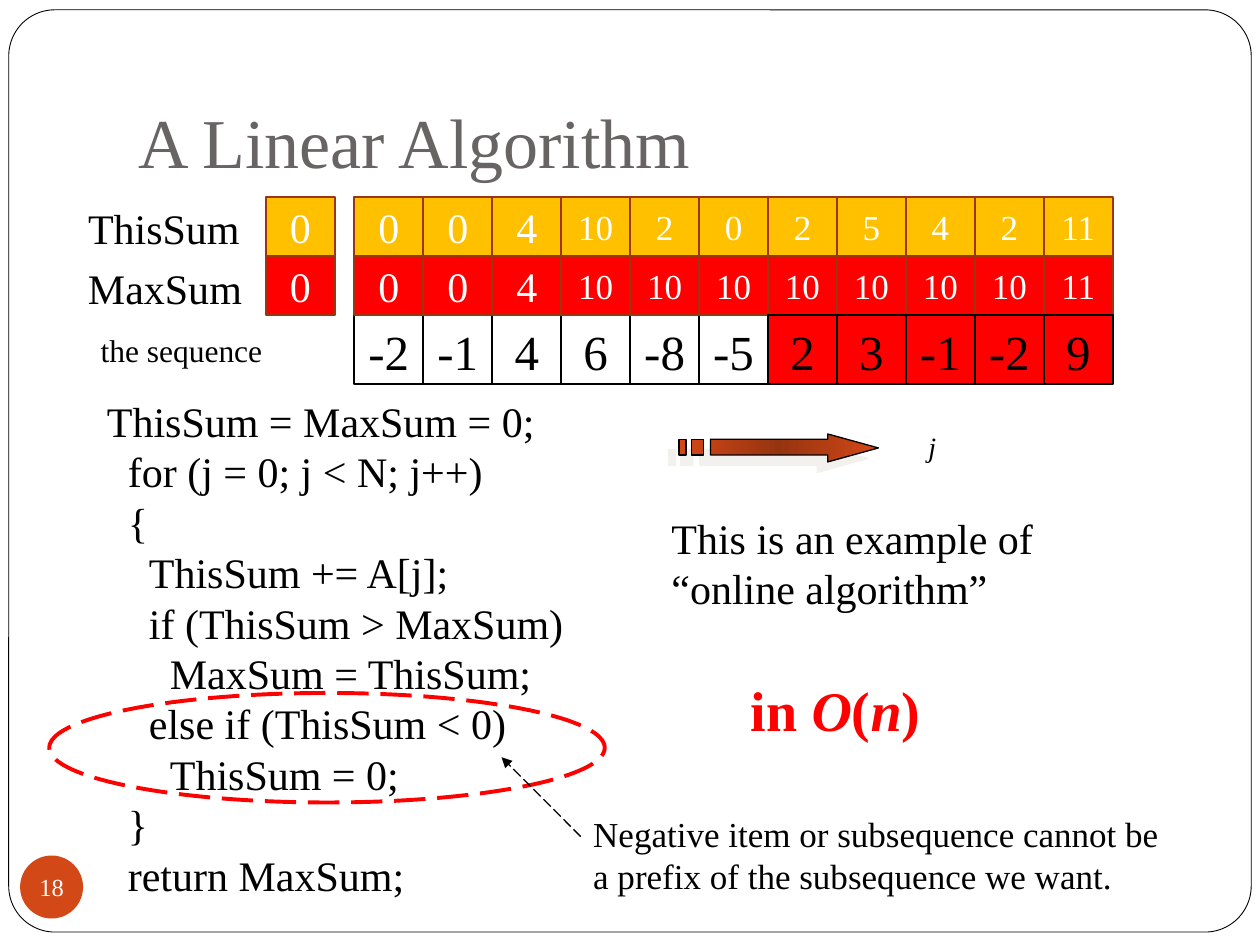
"""Build the slide that traces the linear maximum subsequence algorithm."""
from dataclasses import dataclass

from lxml.etree import SubElement
from pptx import Presentation
from pptx.dml.color import RGBColor
from pptx.enum.dml import MSO_LINE
from pptx.enum.shapes import MSO_CONNECTOR, MSO_SHAPE
from pptx.enum.text import MSO_ANCHOR, MSO_AUTO_SIZE, PP_ALIGN
from pptx.oxml.ns import qn
from pptx.util import Pt


@dataclass(frozen=True)
class Theme:
    font: str = "Times New Roman"
    black: str = "000000"
    white: str = "FFFFFF"
    red: str = "FF0000"
    gold: str = "FFC000"
    brown: str = "9C3511"
    orange: str = "D34817"
    dark_orange: str = "973410"
    title_grey: str = "696464"
    shadow: str = "E9E5DC"
    title: int = 40
    formula: int = 32
    sequence: int = 28
    body: int = 24
    note: int = 20
    caption: int = 18
    index: int = 16
    page: int = 14
    line_height: float = 1.2


@dataclass(frozen=True)
class Box:
    left: float
    top: float
    width: float
    height: float

    def lengths(self) -> tuple:
        return Pt(self.left), Pt(self.top), Pt(self.width), Pt(self.height)


@dataclass(frozen=True)
class Label:
    text: str
    box: Box
    size: int
    italic: bool = False


@dataclass(frozen=True)
class CellStyle:
    top: float
    height: float
    fill: str
    line: str
    color: str
    anchor: MSO_ANCHOR


THEME = Theme()
COLUMN_LEFT, COLUMN_WIDTH, START_LEFT = 202.5, 39.4, 151.9
ROW_TOP, ROW_HEIGHT = 112.4, 33.8
SEQUENCE_TOP = ROW_TOP + 2 * ROW_HEIGHT
INDENT = 12

THIS_SUM = CellStyle(ROW_TOP, ROW_HEIGHT, THEME.gold, THEME.brown, THEME.white, MSO_ANCHOR.MIDDLE)
MAX_SUM = CellStyle(ROW_TOP + ROW_HEIGHT, ROW_HEIGHT, THEME.red, THEME.brown, THEME.white,
                    MSO_ANCHOR.MIDDLE)
ITEM = CellStyle(SEQUENCE_TOP, COLUMN_WIDTH, THEME.white, THEME.black, THEME.black, MSO_ANCHOR.TOP)
BEST_ITEM = CellStyle(SEQUENCE_TOP, COLUMN_WIDTH, THEME.red, THEME.black, THEME.black,
                      MSO_ANCHOR.TOP)

SEQUENCE = [-2, -1, 4, 6, -8, -5, 2, 3, -1, -2, 9]
BEST_START = 6
SUM_ROWS = [
    (THIS_SUM, [0, 0, 4, 10, 2, 0, 2, 5, 4, 2, 11]),
    (MAX_SUM, [0, 0, 4, 10, 10, 10, 10, 10, 10, 10, 11]),
]
LARGE_SUMS = 3

CODE = [
    (0, "ThisSum = MaxSum = 0;"),
    (1, "for (j = 0; j < N; j++)"),
    (1, "{"),
    (2, "ThisSum += A[j];"),
    (2, "if (ThisSum > MaxSum)"),
    (3, "MaxSum = ThisSum;"),
    (2, "else if (ThisSum < 0)"),
    (3, "ThisSum = 0;"),
    (1, "}"),
    (1, "return MaxSum;"),
]

LABELS = [
    Label("ThisSum", Box(43.2, 112.4, 102.2, 36.7), THEME.body),
    Label("MaxSum", Box(43.2, 146.2, 103.7, 36.7), THEME.body),
    Label("the sequence", Box(50.4, 185.8, 123.8, 28.8), THEME.caption),
    Label("j", Box(523.4, 241.9, 51.1, 26.6), THEME.index, italic=True),
    Label("This is an example of “online algorithm”", Box(376.6, 289.4, 238.3, 64.8), THEME.body),
    Label("Negative item or subsequence cannot be a prefix of the subsequence we want.",
          Box(331.9, 460.8, 340.6, 55.4), THEME.note),
]


def rgb(color: str) -> RGBColor:
    return RGBColor.from_string(color)


def format_text(frame, size: int, color: str, align=PP_ALIGN.LEFT, **flags: bool) -> None:
    for paragraph in frame.paragraphs:
        paragraph.alignment = align
        paragraph.line_spacing = Pt(size * THEME.line_height)
        for run in paragraph.runs:
            font = run.font
            font.name, font.size, font.color.rgb = THEME.font, Pt(size), rgb(color)
            for name, value in flags.items():
                setattr(font, name, value)


def add_text(slide, box: Box, text: str):
    frame = slide.shapes.add_textbox(*box.lengths()).text_frame
    frame.word_wrap = True
    frame.text = text
    return frame


def add_label(slide, label: Label) -> None:
    frame = add_text(slide, label.box, label.text)
    format_text(frame, label.size, THEME.black, italic=label.italic)


def add_figure(slide, kind: MSO_SHAPE, box: Box, fill: str = "", line: str = "", weight: float = 1):
    shape = slide.shapes.add_shape(kind, *box.lengths())
    shape.shadow.inherit = False
    if fill:
        shape.fill.solid()
        shape.fill.fore_color.rgb = rgb(fill)
    else:
        shape.fill.background()
    if line:
        shape.line.color.rgb = rgb(line)
        shape.line.width = Pt(weight)
    else:
        shape.line.fill.background()
    return shape


def add_cell(slide, style: CellStyle, left: float, value: int, size: int) -> None:
    box = Box(left, style.top, COLUMN_WIDTH, style.height)
    frame = add_figure(slide, MSO_SHAPE.RECTANGLE, box, style.fill, style.line).text_frame
    frame.word_wrap = False
    frame.vertical_anchor = style.anchor
    frame.text = str(value)
    format_text(frame, size, style.color, PP_ALIGN.CENTER)


def add_trace(slide) -> None:
    lefts = [COLUMN_LEFT + column * COLUMN_WIDTH for column in range(len(SEQUENCE))]
    items = list(zip(lefts, SEQUENCE))
    for left, value in items[:BEST_START]:
        add_cell(slide, ITEM, left, value, THEME.sequence)
    for style, sums in SUM_ROWS:
        add_cell(slide, style, START_LEFT, 0, THEME.body)
        for column, (left, value) in enumerate(zip(lefts, sums)):
            add_cell(slide, style, left, value, THEME.body if column < LARGE_SUMS else THEME.note)
    for left, value in items[BEST_START:]:
        add_cell(slide, BEST_ITEM, left, value, THEME.sequence)


def add_color(parent, color: str):
    return SubElement(parent, qn("a:srgbClr"), val=color)


def add_scan_arrow(slide) -> None:
    top, bottom = 251.3, 260
    builder = slide.shapes.build_freeform(473, 247.7, scale=Pt(1))
    builder.add_line_segments([(473, top), (406.1, top), (406.1, bottom), (473, bottom),
                               (473, 264.2), (501.8, 255.6)])
    for left, right in [(395.3, 402.5), (388.1, 391.7)]:
        builder.move_to(left, top)
        builder.add_line_segments([(left, bottom), (right, bottom), (right, top)])
    arrow = builder.convert_to_shape()
    arrow.line.color.rgb = rgb(THEME.black)
    arrow.line.width = Pt(0.75)
    arrow.fill.gradient()
    arrow.fill.gradient_angle = 0
    stops = arrow.element.spPr.find(".//" + qn("a:gsLst"))
    stops.clear()
    for percent, color in [(0, THEME.orange), (50, THEME.dark_orange), (100, THEME.orange)]:
        add_color(SubElement(stops, qn("a:gs"), pos=str(percent * 1000)), color)
    effects = SubElement(arrow.element.spPr, qn("a:effectLst"))
    shadow = SubElement(effects, qn("a:outerShdw"), dist=str(Pt(8.5)), dir=str(135 * 60000),
                        algn="ctr", rotWithShape="0")
    SubElement(add_color(shadow, THEME.shadow), qn("a:alpha"), val="50000")


def add_code(slide) -> None:
    frame = add_text(slide, Box(54, 222.5, 368.6, 294.5), "\n".join(text for _, text in CODE))
    format_text(frame, THEME.body, THEME.black)
    for paragraph, (level, _) in zip(frame.paragraphs, CODE):
        paragraph._p.get_or_add_pPr().set("marL", str(Pt(level * INDENT)))
    ellipse = add_figure(slide, MSO_SHAPE.OVAL, Box(28.1, 396, 317.5, 62.6), line=THEME.red,
                         weight=2.25)
    ellipse.line.dash_style = MSO_LINE.LONG_DASH


def add_pointer(slide) -> None:
    pointer = slide.shapes.add_connector(MSO_CONNECTOR.STRAIGHT, Pt(331.9), Pt(478.1), Pt(286.6),
                                         Pt(432.7))
    pointer.line.color.rgb = rgb(THEME.black)
    pointer.line.width = Pt(0.75)
    pointer.line.dash_style = MSO_LINE.LONG_DASH
    SubElement(pointer.line._get_or_add_ln(), qn("a:tailEnd"), type="triangle")
    SubElement(pointer.element.spPr, qn("a:effectLst"))


def add_formula(slide) -> None:
    frame = add_text(slide, Box(421.9, 382.3, 164.2, 45.4), "")
    for text in ["in ", "O", "(", "n", ")"]:
        run = frame.paragraphs[0].add_run()
        run.text = text
        run.font.italic = text in ("O", "n")
    format_text(frame, THEME.formula, THEME.red, bold=True)


def add_title(slide) -> None:
    title = slide.shapes.title
    title.left, title.top, title.width, title.height = Box(72, 21.6, 612, 90).lengths()
    frame = title.text_frame
    frame.text = "A Linear Algorithm"
    frame.auto_size = MSO_AUTO_SIZE.NONE
    frame.vertical_anchor = MSO_ANCHOR.BOTTOM
    frame.margin_bottom = Pt(7.2)
    format_text(frame, THEME.title, THEME.title_grey)
    frame.paragraphs[0].line_spacing = 1.0


def add_frame(slide) -> None:
    border = add_figure(slide, MSO_SHAPE.ROUNDED_RECTANGLE, Box(5, 5.6, 710, 527), THEME.white,
                        THEME.black, 0.5)
    border.adjustments[0] = 0.05
    slide.shapes.element.insert(2, border.element)


def add_page_number(slide) -> None:
    badge = add_figure(slide, MSO_SHAPE.OVAL, Box(11.5, 488.9, 36, 36), THEME.orange)
    frame = badge.text_frame
    frame.margin_left = frame.margin_right = frame.margin_top = frame.margin_bottom = 0
    frame.word_wrap = False
    frame.vertical_anchor = MSO_ANCHOR.MIDDLE
    frame.text = "18"
    format_text(frame, THEME.page, THEME.white, PP_ALIGN.CENTER)


def main() -> None:
    presentation = Presentation()
    presentation.slide_width, presentation.slide_height = Pt(720), Pt(540)
    slide = presentation.slides.add_slide(presentation.slide_layouts[5])
    add_frame(slide)
    add_title(slide)
    add_code(slide)
    add_scan_arrow(slide)
    for label in LABELS:
        add_label(slide, label)
    add_pointer(slide)
    add_formula(slide)
    add_trace(slide)
    add_page_number(slide)
    presentation.save("out.pptx")


if __name__ == "__main__":
    main()
